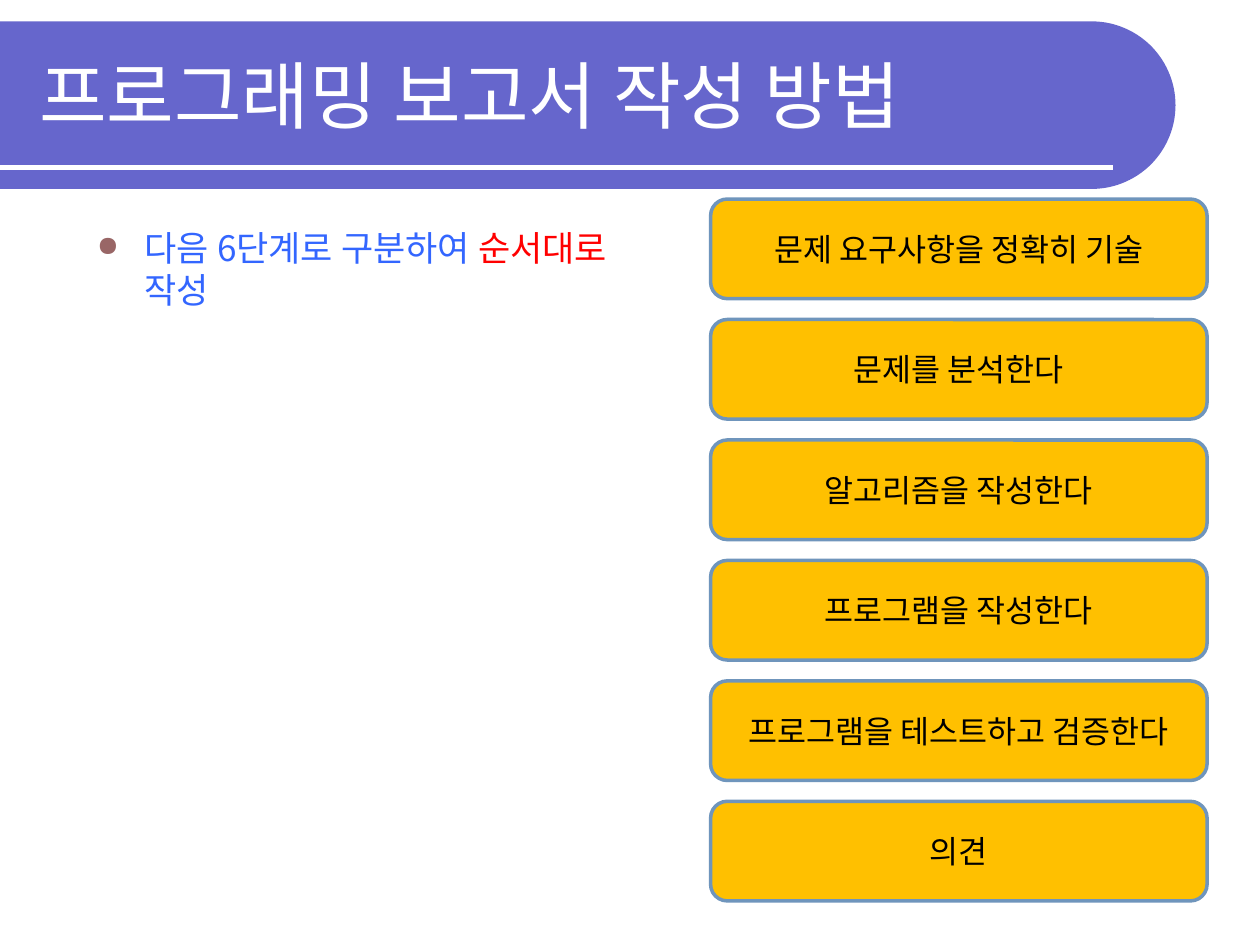
from dataclasses import dataclass
from math import cos, pi, sin

from lxml.etree import SubElement as Sub
from pptx import Presentation
from pptx.dml.color import RGBColor as Rgb
from pptx.enum.shapes import MSO_CONNECTOR as Conn, MSO_SHAPE as Kind
from pptx.enum.text import MSO_ANCHOR as Anchor, MSO_AUTO_SIZE as Fit, PP_ALIGN as Align
from pptx.oxml.ns import qn
from pptx.util import Inches as In, Pt


@dataclass(frozen=True)
class Theme:
    band: str = "6666CC"
    white: str = "FFFFFF"
    black: str = "000000"
    blue: str = "3366FF"
    red: str = "FF0000"
    dot: str = "996666"
    gold: str = "FFC000"
    edge: str = "6F95BC"
    face: str = "Noto Sans CJK KR"
    step: str = "Cabin"
    head_pt: int = 42
    body_pt: int = 20
    step_pt: int = 18


LOOK = Theme()
WIDE, HIGH = 10, 7.5
STEPS = ["문제 요구사항을 정확히 기술", "문제를 분석한다", "알고리즘을 작성한다",
         "프로그램을 작성한다", "프로그램을 테스트하고 검증한다", "의견"]


def tint(font, color):
    font.color.rgb = Rgb.from_string(color)


def style(para, size, color, face):
    font = para.font
    font.size, font.name = Pt(size), face
    tint(font, color)
    # Korean glyphs take the East Asian face
    Sub(para._p.pPr.find(qn("a:defRPr")), qn("a:ea"), typeface=face)


def paint(shape, fill):
    shape.shadow.inherit = False
    shape.fill.solid()
    shape.fill.fore_color.rgb = Rgb.from_string(fill)


def place(shape, left, top, width, height):
    shape.left, shape.top = In(left), In(top)
    shape.width, shape.height = In(width), In(height)


def add_band(slide, top, right, height):
    """Bar from the left edge with a half-round right end."""
    rad = height / 2
    arc = [(right - rad + rad * cos(a), top + rad + rad * sin(a))
           for a in (pi * (i / 60 - 0.5) for i in range(61))]
    build = slide.shapes.build_freeform(0, In(top), 1.0)
    build.add_line_segments([(In(x), In(y)) for x, y in arc] + [(0, In(top + height))])
    band = build.convert_to_shape()
    paint(band, LOOK.band)
    band.line.fill.background()
    return band


def add_rule(slide, y, right):
    rule = slide.shapes.add_connector(Conn.STRAIGHT, 0, In(y), In(right), In(y))
    rule.line.color.rgb = Rgb.from_string(LOOK.white)
    rule.line.width = Pt(3)
    Sub(rule.element.spPr, qn("a:effectLst"))
    return rule


def set_title(slide, text, parts):
    title = slide.shapes.title
    for part in parts:  # the title sits in front of its banner
        title.element.addprevious(part.element)
    place(title, 0.21, 0.25, 8.77, 1)
    frame = title.text_frame
    frame.text = text
    frame.auto_size, frame.vertical_anchor = Fit.NONE, Anchor.MIDDLE
    para = frame.paragraphs[0]
    para.alignment = Align.LEFT
    style(para, LOOK.head_pt, LOOK.white, LOOK.face)


def add_bullet(slide, runs):
    box = slide.shapes.add_textbox(In(0.67), In(1.75), In(4.68), In(5.23))
    box.text_frame.word_wrap = True
    para = box.text_frame.paragraphs[0]
    props = para._p.get_or_add_pPr()
    props.set("marL", str(In(0.38)))
    props.set("indent", str(-In(0.38)))
    Sub(Sub(props, qn("a:buClr")), qn("a:srgbClr"), val=LOOK.dot)
    Sub(props, qn("a:buSzPct"), val="80000")
    Sub(props, qn("a:buChar"), char="●")
    style(para, LOOK.body_pt, LOOK.blue, LOOK.face)
    for text, color in runs:
        run = para.add_run()
        run.text = text
        tint(run.font, color)


def add_step(slide, row, text):
    top, pitch = 1.58, 0.956
    box = slide.shapes.add_shape(Kind.ROUNDED_RECTANGLE, In(5.64),
                                 In(top + row * pitch), In(3.94), In(0.79))
    paint(box, LOOK.gold)
    box.line.color.rgb = Rgb.from_string(LOOK.edge)
    box.line.width = Pt(2)
    frame = box.text_frame
    frame.text, frame.word_wrap = text, True
    frame.vertical_anchor = Anchor.MIDDLE
    para = frame.paragraphs[0]
    para.alignment = Align.CENTER
    style(para, LOOK.step_pt, LOOK.black, LOOK.step)


def main():
    deck = Presentation()
    deck.slide_width, deck.slide_height = In(WIDE), In(HIGH)
    slide = deck.slides.add_slide(deck.slide_layouts[5])
    # Banner and title
    parts = [add_band(slide, 0.17, 9.33, 1.33), add_rule(slide, 1.33, 8.83)]
    set_title(slide, "프로그래밍 보고서 작성 방법", parts)
    # Lead and the six steps
    add_bullet(slide, [("다음 6단계로 구분하여 ", LOOK.blue),
                       ("순서대로", LOOK.red), (" 작성", LOOK.blue)])
    for row, text in enumerate(STEPS):
        add_step(slide, row, text)
    deck.save("out.pptx")


if __name__ == "__main__":
    main()
